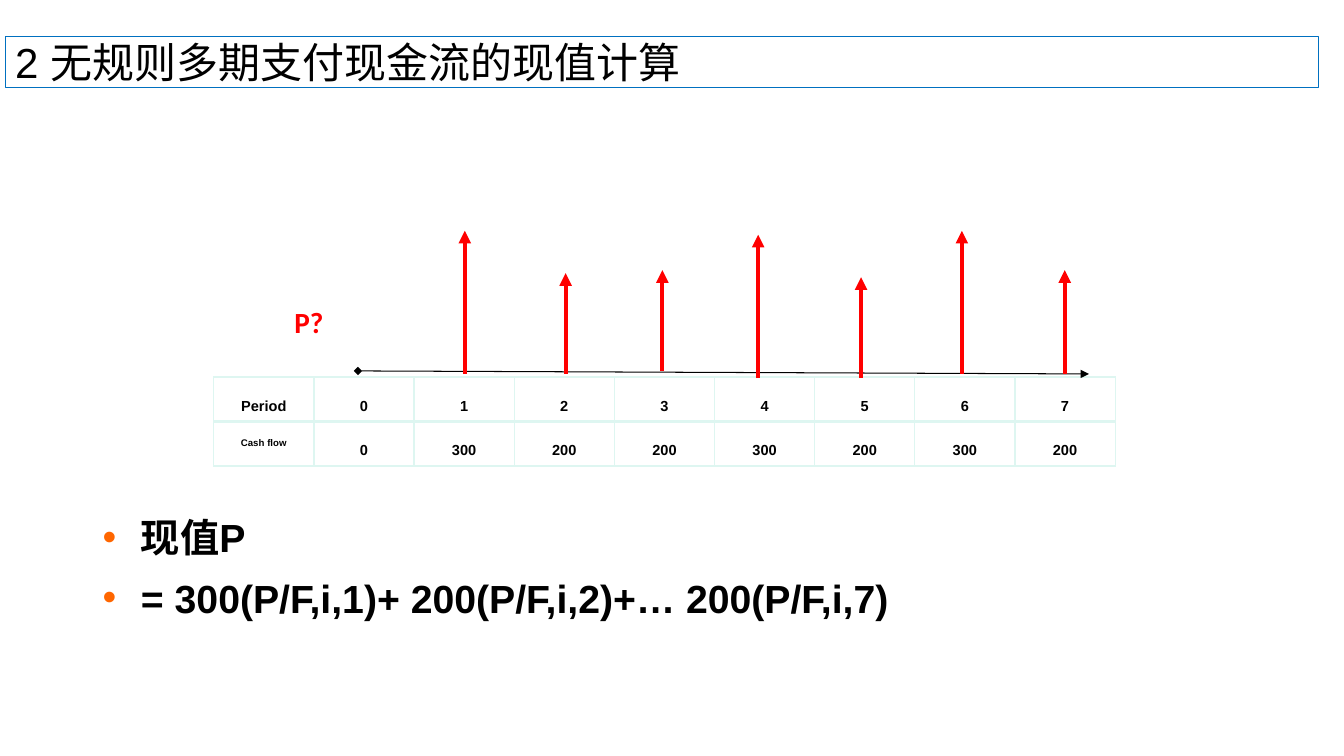
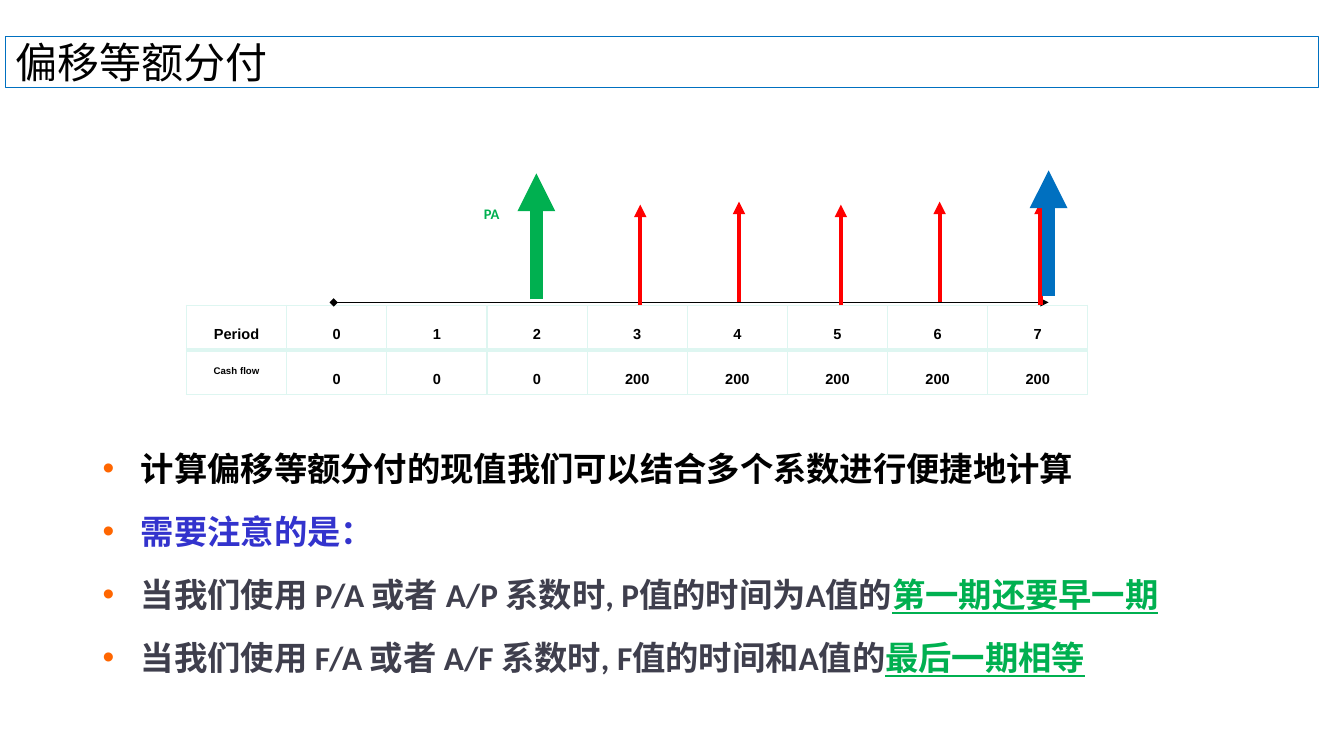
import pptx
import pptx.dml.color
import pptx.enum.shapes
import pptx.enum.text
import pptx.oxml.ns
import pptx.util
from lxml import etree

Inches = pptx.util.Inches
Pt = pptx.util.Pt
RGBColor = pptx.dml.color.RGBColor
qn = pptx.oxml.ns.qn

BLACK = RGBColor(0x00, 0x00, 0x00)
BLUE = RGBColor(0x00, 0x70, 0xC0)
RED = RGBColor(0xFF, 0x00, 0x00)
GREEN = RGBColor(0x00, 0xB0, 0x50)
ORANGE = RGBColor(0xFF, 0x66, 0x00)
INDIGO = RGBColor(0x33, 0x33, 0xCD)
SLATE = RGBColor(0x3F, 0x3F, 0x4D)
MINT = RGBColor(0xDE, 0xF6, 0xF1)

TITLE_ONLY = 5
SUBSCRIPT = "-25000"
TABLE_WIDTH = 8.94
ROW_HEIGHT = 0.42
PERIODS = range(8)


def set_format(target, values):
    for name, value in values.items():
        if name == "color":
            target.color.rgb = value
        else:
            setattr(target, name, value)


def font_format(size, color, name="Calibri", bold=True):
    return {"size": Pt(size), "color": color, "name": name, "bold": bold}


def add_span(para, text, values, subscript=False):
    span = para.add_run()
    span.text = text
    set_format(span.font, values)
    if subscript:
        span.font._element.set("baseline", SUBSCRIPT)


def add_color(parent, tag, color):
    holder = etree.SubElement(parent, qn(tag))
    etree.SubElement(holder, qn("a:srgbClr"), val=str(color))


def add_title_page(deck, title_text):
    page = deck.slides.add_slide(deck.slide_layouts[TITLE_ONLY])
    title = page.shapes.title
    set_format(title, {"left": Inches(0.05), "top": Inches(0.36),
                       "width": Inches(13.03), "height": Inches(0.51)})
    set_format(title.line, {"color": BLUE, "width": Pt(0.75)})
    set_format(title.text_frame, {
        "vertical_anchor": pptx.enum.text.MSO_ANCHOR.MIDDLE,
        "auto_size": pptx.enum.text.MSO_AUTO_SIZE.NONE,
        "word_wrap": True})
    para = title.text_frame.paragraphs[0]
    para.alignment = pptx.enum.text.PP_ALIGN.LEFT
    add_span(para, title_text, font_format(30, BLACK, "Arial", False))
    return page


def add_bullets(page, top, height, line_spacing, space_before, items):
    """Each item is a list of (text, font format) spans."""
    box = page.shapes.add_textbox(Inches(0.92), Inches(top), Inches(11.5), Inches(height))
    frame = box.text_frame
    frame.word_wrap = True
    for index, spans in enumerate(items):
        para = frame.add_paragraph() if index else frame.paragraphs[0]
        para.line_spacing = line_spacing
        para.space_before = Pt(space_before if index else 0)
        properties = para._p.get_or_add_pPr()
        properties.set("marL", str(Inches(0.38)))
        properties.set("indent", str(-Inches(0.38)))
        add_color(properties, "a:buClr", ORANGE)
        etree.SubElement(properties, qn("a:buFont"), typeface="Arial")
        etree.SubElement(properties, qn("a:buChar"), char="•")
        for text, values in spans:
            add_span(para, text, values)


def add_label(page, left, top, width, height, text, values):
    box = page.shapes.add_textbox(Inches(left), Inches(top), Inches(width), Inches(height))
    add_span(box.text_frame.paragraphs[0], text, values, subscript=True)


def add_arrow(page, start, end, color, width, head=None):
    arrow = page.shapes.add_connector(
        pptx.enum.shapes.MSO_CONNECTOR.STRAIGHT,
        *(Inches(length) for length in (*start, *end)))
    set_format(arrow.line, {"color": color, "width": Pt(width)})
    properties = arrow._element.spPr
    line = properties.find(qn("a:ln"))
    if head:
        etree.SubElement(line, qn("a:headEnd"), type=head)
    etree.SubElement(line, qn("a:tailEnd"), type="triangle")
    etree.SubElement(properties, qn("a:effectLst"))


def add_payments(page, payments):
    """Each payment is (x, bottom, top)."""
    for x, bottom, top in payments:
        add_arrow(page, (x, bottom), (x, top), RED, 3)


def set_borders(cell, bottom_width):
    properties = cell._tc.get_or_add_tcPr()
    widths = {"a:lnL": 1, "a:lnR": 1, "a:lnT": 1, "a:lnB": bottom_width}
    for tag, width in widths.items():
        border = etree.SubElement(properties, qn(tag), w=str(Pt(width)))
        add_color(border, "a:solidFill", MINT)


def add_cash_flow_table(page, left, top, flows):
    rows = [("Period", *PERIODS), ("Cash flow", *flows)]
    table = page.shapes.add_table(
        len(rows), len(rows[0]), Inches(left), Inches(top),
        Inches(TABLE_WIDTH), Inches(ROW_HEIGHT * len(rows))).table
    set_format(table, {"first_row": False, "horz_banding": False})
    for row_index, values in enumerate(rows):
        table.rows[row_index].height = Inches(ROW_HEIGHT)
        for column, value in enumerate(values):
            cell = table.cell(row_index, column)
            set_borders(cell, 1 if row_index else 3)
            cell.fill.background()
            para = cell.text_frame.paragraphs[0]
            para.alignment = pptx.enum.text.PP_ALIGN.CENTER
            size = 12 if value == "Cash flow" else 18
            add_span(para, str(value), font_format(size, BLACK, "Arial"), subscript=True)


def build_irregular_flows(deck):
    page = add_title_page(deck, "2 无规则多期支付现金流的现值计算")
    body = font_format(28, BLACK, "Arial")
    add_bullets(page, 5, 1.75, 1.1, 6, [
        [("现值P", body)],
        [("= 300(P/F,i,1)+ 200(P/F,i,2)+… 200(P/F,i,7)", body)],
    ])
    add_cash_flow_table(page, 2.12, 3.74, [0, 300, 200, 200, 300, 200, 300, 200])
    add_arrow(page, (3.55, 3.68), (10.8, 3.71), BLACK, 0.75, head="diamond")
    add_payments(page, [
        (4.61, 3.71, 2.29), (5.61, 3.71, 2.71), (6.57, 3.68, 2.68), (7.52, 3.75, 2.33),
        (8.54, 3.75, 2.75), (9.54, 3.71, 2.29), (10.56, 3.71, 2.68)])
    add_label(page, 2.82, 2.63, 0.72, 0.71, "P?", font_format(36, RED))


def build_shifted_annuity(deck):
    page = add_title_page(deck, "偏移等额分付")
    size = 23.8
    note = font_format(size, SLATE)
    key = {**font_format(size, GREEN), "underline": True}
    add_bullets(page, 4.24, 2.52, 1.4, 5, [
        [("计算偏移等额分付的现值我们可以结合多个系数进行便捷地计算", font_format(size, BLACK))],
        [("需要注意的是：", font_format(size, INDIGO, "Noto Sans CJK JP"))],
        [("当我们使用 P/A 或者 A/P 系数时, P值的时间为A值的", note), ("第一期还要早一期", key)],
        [("当我们使用 F/A 或者 A/F 系数时, F值的时间和A值的", note), ("最后一期相等", key)],
    ])
    add_cash_flow_table(page, 1.85, 3.03, [0, 0, 0, 200, 200, 200, 200, 200])
    add_arrow(page, (3.31, 3), (10.4, 3), BLACK, 0.75, head="diamond")
    add_payments(page, [
        (6.35, 3.03, 2.03), (7.33, 3, 2), (8.34, 3.03, 2.03), (9.32, 3, 2), (10.32, 3.03, 2)])
    add_arrow(page, (5.32, 2.97), (5.32, 1.72), GREEN, 9)
    add_arrow(page, (10.4, 2.94), (10.4, 1.69), BLUE, 9)
    add_label(page, 4.7, 1.82, 0.54, 0.4, "PA", font_format(18, GREEN))


def main():
    deck = pptx.Presentation()
    set_format(deck, {"slide_width": Inches(13.33), "slide_height": Inches(7.5)})
    build_irregular_flows(deck)
    build_shifted_annuity(deck)
    deck.save("out.pptx")


if __name__ == "__main__":
    main()
